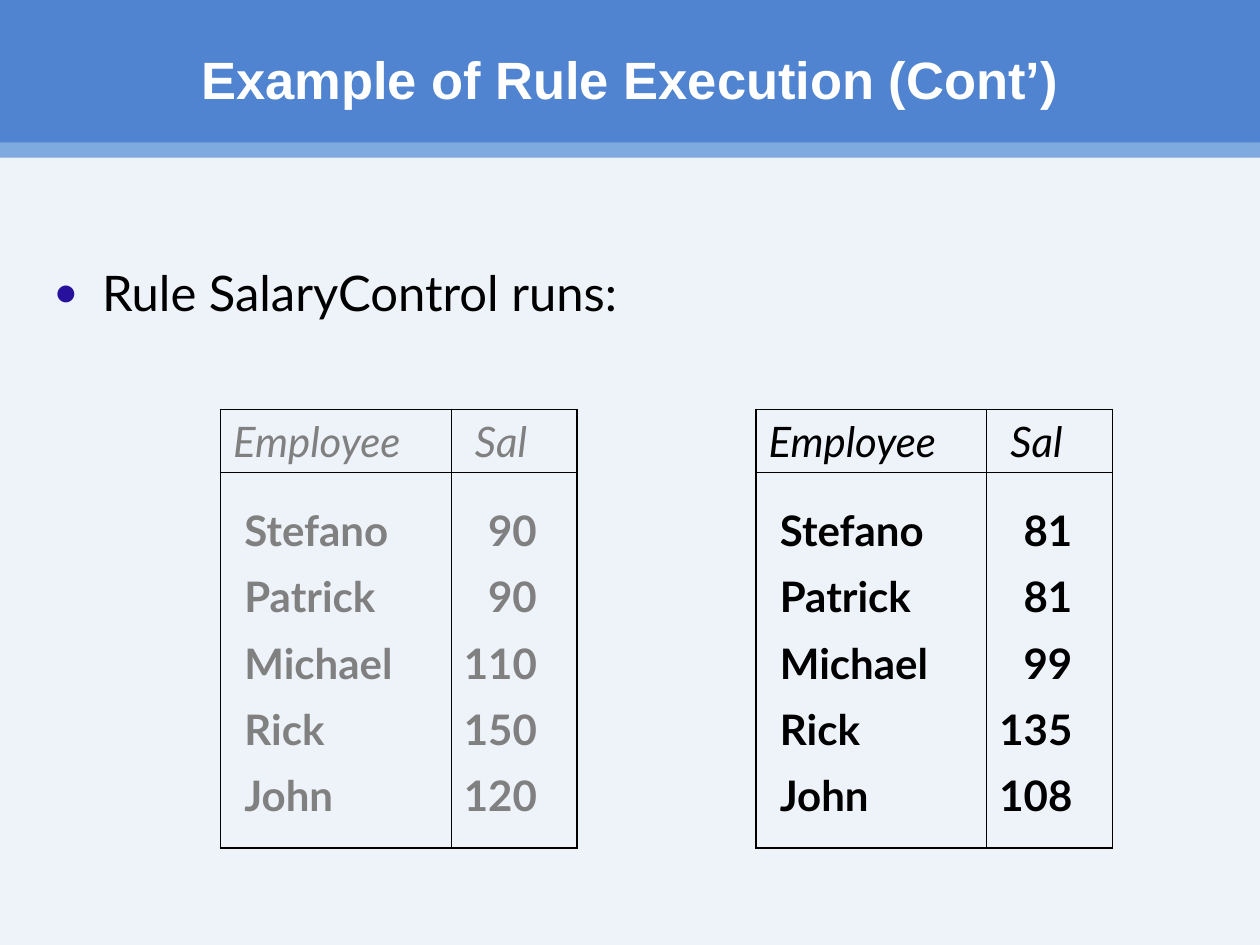
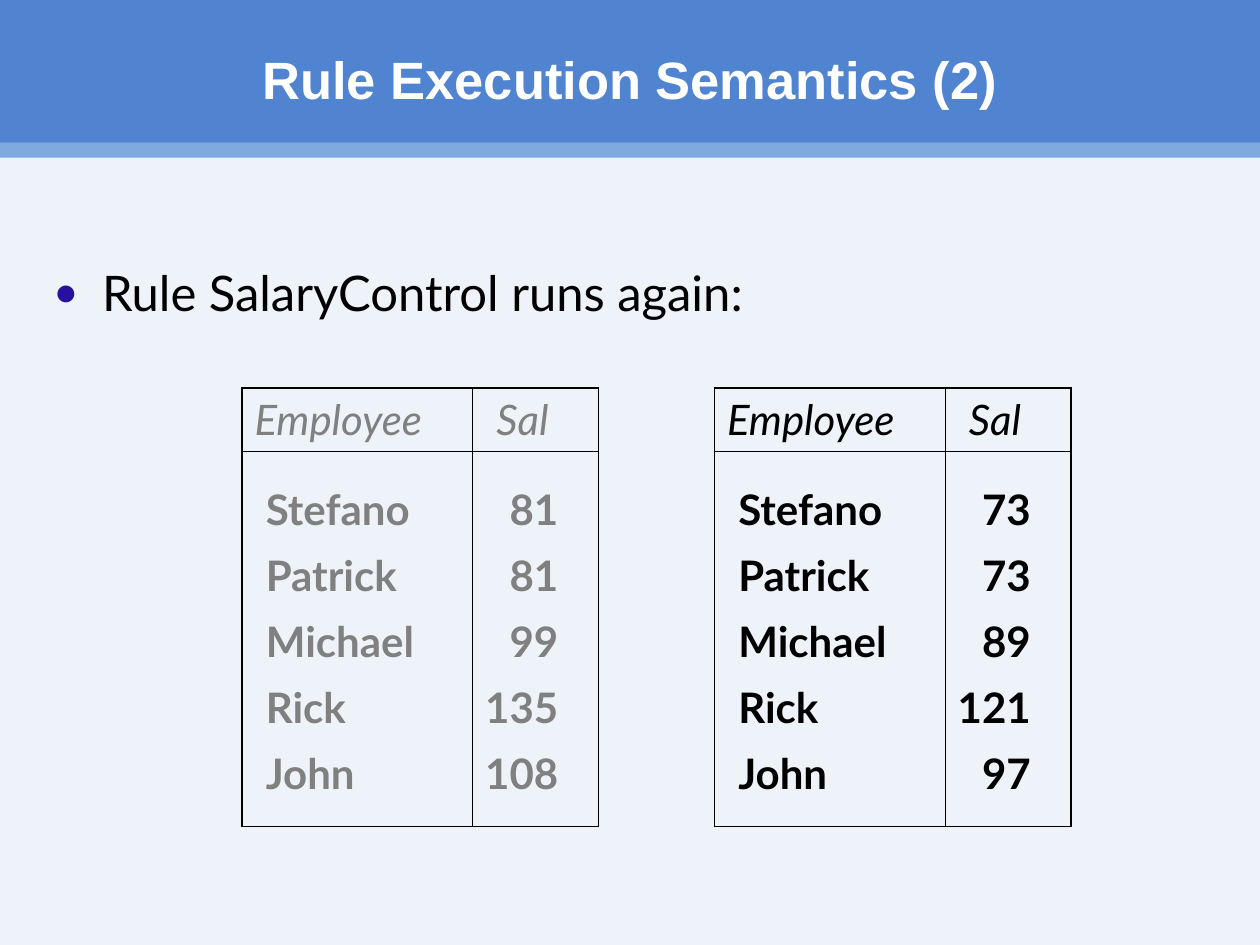
"""Build two slides that compare employee salaries before and after a rule runs."""
from lxml import etree
from pptx import Presentation
from pptx import util as u
from pptx.dml.color import RGBColor
from pptx.enum import shapes, text
from pptx.oxml import ns

HEADER_BLUE, STRIPE_BLUE, PAPER = "5084D0", "7FAADF", "EEF3FA"
WHITE, BLACK, GREY, BULLET = "FFFFFF", "000000", "808080", "27109C"
OUTER, INNER = 1.08, 0.45
LEFT, RIGHT = text.PP_ALIGN.LEFT, text.PP_ALIGN.RIGHT
EMPLOYEES = ["Stefano", "Patrick", "Michael", "Rick", "John"]
START = ["90", "90", "110", "150", "120"]
FIRST_RUN = ["81", "81", "99", "135", "108"]
SECOND_RUN = ["73", "73", "89", "121", "97"]

STEPS = [
    dict(title="Example of Rule Execution (Cont’)", event="Rule SalaryControl runs:",
         top=3.25, before=(1.75, START), after=(6, FIRST_RUN)),
    dict(title="Rule Execution Semantics (2)", event="Rule SalaryControl runs again:",
         top=3.08, before=(1.92, FIRST_RUN), after=(5.67, SECOND_RUN)),
]


def paint(fill, colour):
    """Give a fill one solid colour."""
    fill.solid()
    fill.fore_color.rgb = RGBColor.from_string(colour)


def write(frame, lines, font="Lato", size=24, colour=BLACK, bold=False, italic=False,
          align=LEFT, before=0):
    """Fill a text frame with one paragraph for each line."""
    frame.word_wrap = True
    for number, line in enumerate(lines):
        paragraph = frame.add_paragraph() if number else frame.paragraphs[0]
        paragraph.alignment, paragraph.space_before = align, u.Pt(before)
        run = paragraph.add_run()
        run.text = line
        run.font.name, run.font.size = font, u.Pt(size)
        run.font.bold, run.font.italic = bold, italic
        paint(run.font.fill, colour)


deck = Presentation()
deck.slide_width, deck.slide_height = u.Inches(10), u.Inches(7.5)
paint(deck.slide_master.background.fill, PAPER)
layout = deck.slide_layouts[1]
slides = [deck.slides.add_slide(layout) for step in STEPS]

bands = [(0, 1.25, HEADER_BLUE), (1.13, 0.12, STRIPE_BLUE)]
for depth, (top, height, colour) in enumerate(bands, start=2):
    band = slides[0].shapes.add_shape(shapes.MSO_SHAPE.RECTANGLE, 0, u.Inches(top),
                                      deck.slide_width, u.Inches(height))
    band.shadow.inherit = False
    paint(band.fill, colour)
    band.line.fill.background()
    layout.shapes.element.insert(depth, band.element)

areas = [(0.29, 0, 9.42, 1.25), (0.33, 1.42, 9.33, 5.83)]
for slide, step in zip(slides, STEPS):
    heading, event = slide.placeholders
    for holder, area in zip((heading, event), areas):
        holder.left, holder.top, holder.width, holder.height = map(u.Inches, area)
        holder.text_frame.auto_size = text.MSO_AUTO_SIZE.NONE

    heading.text_frame.vertical_anchor = text.MSO_ANCHOR.MIDDLE
    write(heading.text_frame, [step["title"]], font="Arial", size=30, colour=WHITE,
          bold=True, align=text.PP_ALIGN.CENTER)

    event.text_frame.margin_top = u.Inches(0.66)
    event.text_frame.vertical_anchor = text.MSO_ANCHOR.TOP
    write(event.text_frame, [step["event"]], size=28, before=10.5)
    bullet = event.text_frame.paragraphs[0]._p.get_or_add_pPr()
    bullet.set("marL", str(u.Inches(0.38)))
    bullet.set("indent", str(u.Inches(-0.38)))
    bullet_colour = etree.SubElement(bullet, ns.qn("a:buClr"))
    etree.SubElement(bullet_colour, ns.qn("a:srgbClr"), val=BULLET)
    etree.SubElement(bullet, ns.qn("a:buSzPct"), val="80000")
    etree.SubElement(bullet, ns.qn("a:buFont"), typeface="Arial")
    etree.SubElement(bullet, ns.qn("a:buChar"), char="●")

    for moment, colour in (("after", BLACK), ("before", GREY)):
        left, salaries = step[moment]
        payroll = slide.shapes.add_table(2, 2, u.Inches(left), u.Inches(step["top"]),
                                         u.Inches(2.83), u.Inches(3.44)).table
        payroll.first_row = payroll.horz_banding = False
        for column, width in zip(payroll.columns, (1.83, 1)):
            column.width = u.Inches(width)
        for row, height in zip(payroll.rows, (0.46, 2.98)):
            row.height = u.Inches(height)

        contents = [(0, 0, ["Employee"], 0.1, 0.1, LEFT), (0, 1, ["Sal"], 0.19, 0.1, LEFT),
                    (1, 0, EMPLOYEES, 0.19, 0.1, LEFT), (1, 1, salaries, 0.1, 0.32, RIGHT)]
        for row, column, lines, margin_left, margin_right, align in contents:
            cell = payroll.cell(row, column)
            cell.margin_left, cell.margin_right = u.Inches(margin_left), u.Inches(margin_right)
            cell.margin_top = u.Inches(0.26 if row else 0.05)
            write(cell.text_frame, lines, colour=colour, bold=row == 1, italic=row == 0,
                  align=align, before=9)
            cell.fill.background()
            edges = [("a:lnL", column == 0), ("a:lnR", column == 1),
                     ("a:lnT", row == 0), ("a:lnB", row == 1)]
            for place, (edge, outside) in enumerate(edges):
                border = etree.Element(ns.qn(edge), w=str(u.Pt(OUTER if outside else INNER)))
                ink = etree.SubElement(border, ns.qn("a:solidFill"))
                etree.SubElement(ink, ns.qn("a:srgbClr"), val=BLACK)
                cell._tc.get_or_add_tcPr().insert(place, border)

deck.save("out.pptx")
